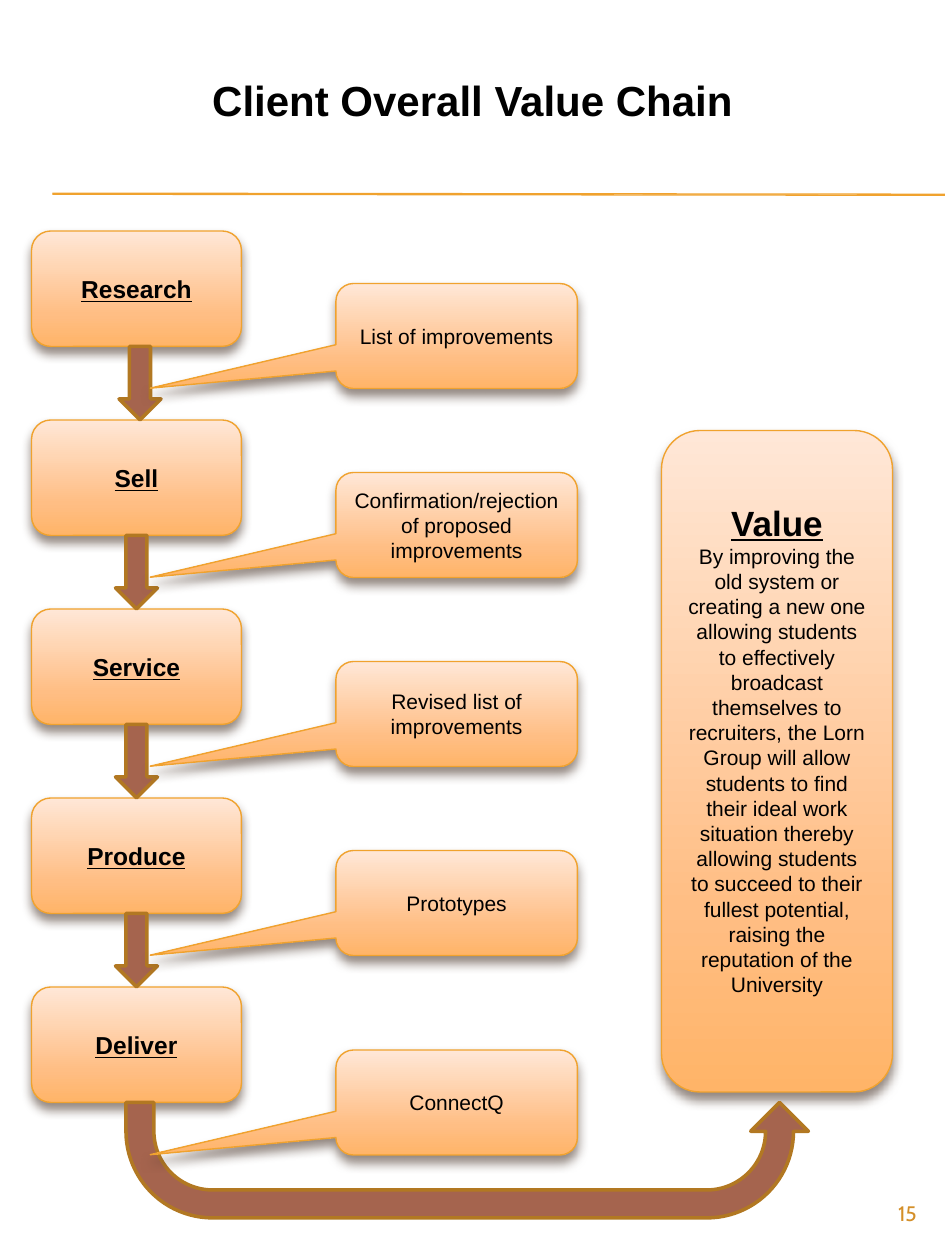
"""Build the client value chain slide."""
from copy import deepcopy
from dataclasses import dataclass

from lxml.etree import SubElement
from pptx import Presentation
from pptx.dml.color import RGBColor
from pptx.enum.shapes import MSO_CONNECTOR as Link, MSO_SHAPE as Kind
from pptx.enum.text import MSO_ANCHOR as Anchor, MSO_AUTO_SIZE as Fit, PP_ALIGN as Align
from pptx.oxml.ns import qn
from pptx.util import Pt

GOLD, BROWN, RUST, BLACK = "F0A22E", "B27822", "A5644E", "000000"
SHADES = [(0, "FFE7D7"), (0.72, "FFBE84"), (1, "FFB468")]
STEPS = ["Research", "Sell", "Service", "Produce", "Deliver"]
NOTES = [
    "List of improvements",
    "Confirmation/rejection of proposed improvements",
    "Revised list of improvements",
    "Prototypes",
    "ConnectQ",
]
VALUE = (
    "By improving the old system or creating a new one allowing students "
    "to effectively broadcast themselves to recruiters, the Lorn Group will "
    "allow students to find their ideal work situation thereby allowing "
    "students to succeed to their fullest potential, raising the reputation "
    "of the University"
)
PITCH = 108


@dataclass
class Box:
    left: float
    top: float
    width: float
    height: float

    def place(self) -> tuple:
        return Pt(self.left), Pt(self.top), Pt(self.width), Pt(self.height)


@dataclass
class Line:
    text: str
    size: float
    bold: bool = False
    under: bool = False
    font: str = "Arial"
    hue: str = BLACK


def tint(code: str) -> RGBColor:
    return RGBColor.from_string(code)


def write(frame, lines: list[Line], align=Align.CENTER, anchor=Anchor.MIDDLE) -> None:
    frame.word_wrap = True
    frame.auto_size = Fit.NONE
    frame.vertical_anchor = anchor
    for spot, line in enumerate(lines):
        para = frame.add_paragraph() if spot else frame.paragraphs[0]
        para.alignment = align
        run = para.add_run()
        run.text = line.text
        font = run.font
        font.name, font.size = line.font, Pt(line.size)
        font.bold, font.underline = line.bold, line.under
        font.color.rgb = tint(line.hue)


def shape(slide, kind, box: Box, edge: str, weight: float, bends=()):
    form = slide.shapes.add_shape(kind, *box.place())
    form.shadow.inherit = False
    form.line.color.rgb = tint(edge)
    form.line.width = Pt(weight)
    for spot, bend in enumerate(bends):
        form.adjustments[spot] = bend
    return form


def card(slide, kind, box: Box, lines: list[Line], bends=()):
    form = shape(slide, kind, box, GOLD, 0.79, bends)
    form.fill.gradient()
    form.fill.gradient_angle = 270
    props = form.element.spPr
    stops = props.find(".//" + qn("a:gsLst"))
    stops.append(deepcopy(stops[-1]))
    for stop, (place, code) in zip(form.fill.gradient_stops, SHADES):
        stop.position = place
        stop.color.rgb = tint(code)
    glow = SubElement(
        props.find(qn("a:effectLst")), qn("a:outerShdw"),
        blurRad=str(Pt(6)), dist=str(Pt(4)), dir="5400000", rotWithShape="0",
    )
    shade = SubElement(glow, qn("a:srgbClr"), val="4E3B30")
    SubElement(shade, qn("a:alpha"), val="60000")
    write(form.text_frame, lines)
    return form


def arrow(slide, kind, box: Box, bends=()) -> None:
    form = shape(slide, kind, box, BROWN, 2, bends)
    form.fill.solid()
    form.fill.fore_color.rgb = tint(RUST)
    form.element.spPr.get_or_add_xfrm().set("flipV", "1")


def rule(slide, top: float) -> None:
    line = slide.shapes.add_connector(Link.STRAIGHT, Pt(30), Pt(top), Pt(540), Pt(top + 0.6))
    line.line.color.rgb = tint(GOLD)
    line.line.width = Pt(0.75)
    SubElement(line.element.spPr, qn("a:effectLst"))


def note(slide, text: str, top: float) -> None:
    box = Box(192, top, 138, 60)
    card(slide, Kind.ROUNDED_RECTANGULAR_CALLOUT, box, [Line(text, 12)],
         (-1.269, 0.497, 0.167))


def main() -> None:
    deck = Presentation()
    deck.slide_width, deck.slide_height = Pt(540), Pt(720)
    slide = deck.slides.add_slide(deck.slide_layouts[5])

    for top in (110.4, 111):
        rule(slide, top)
    page = slide.shapes.add_textbox(*Box(486, 680, 45, 26).place())
    write(page.text_frame, [Line("15", 12, font="Cabin", hue="D48F29")], Align.RIGHT)

    title = slide.shapes.title
    title.left, title.top, title.width, title.height = Box(0, 36, 540, 36).place()
    title.text_frame.margin_top = Pt(6.3)
    write(title.text_frame, [Line("Client Overall Value Chain", 24, True)], anchor=Anchor.TOP)

    for spot, step in enumerate(STEPS):
        box = Box(18, 132 + spot * PITCH, 120, 66)
        card(slide, Kind.ROUNDED_RECTANGLE, box, [Line(step, 14, True, True)])
    for spot in range(len(STEPS) - 1):
        left = 66 if spot else 68
        arrow(slide, Kind.UP_ARROW, Box(left, 198 + spot * PITCH, 24, 42))

    goal = card(slide, Kind.ROUNDED_RECTANGLE, Box(378, 246, 132, 378),
                [Line("Value", 20, True, True), Line(VALUE, 12)])
    goal.text_frame.margin_bottom = Pt(17.4)

    for spot, text in enumerate(NOTES[:-1]):
        note(slide, text, 162 + spot * PITCH)
    arrow(slide, Kind.U_TURN_ARROW, Box(72, 630, 390, 66), (0.242, 0.25, 0.25, 0.75, 1))
    note(slide, NOTES[-1], 600)

    deck.save("out.pptx")


if __name__ == "__main__":
    main()
